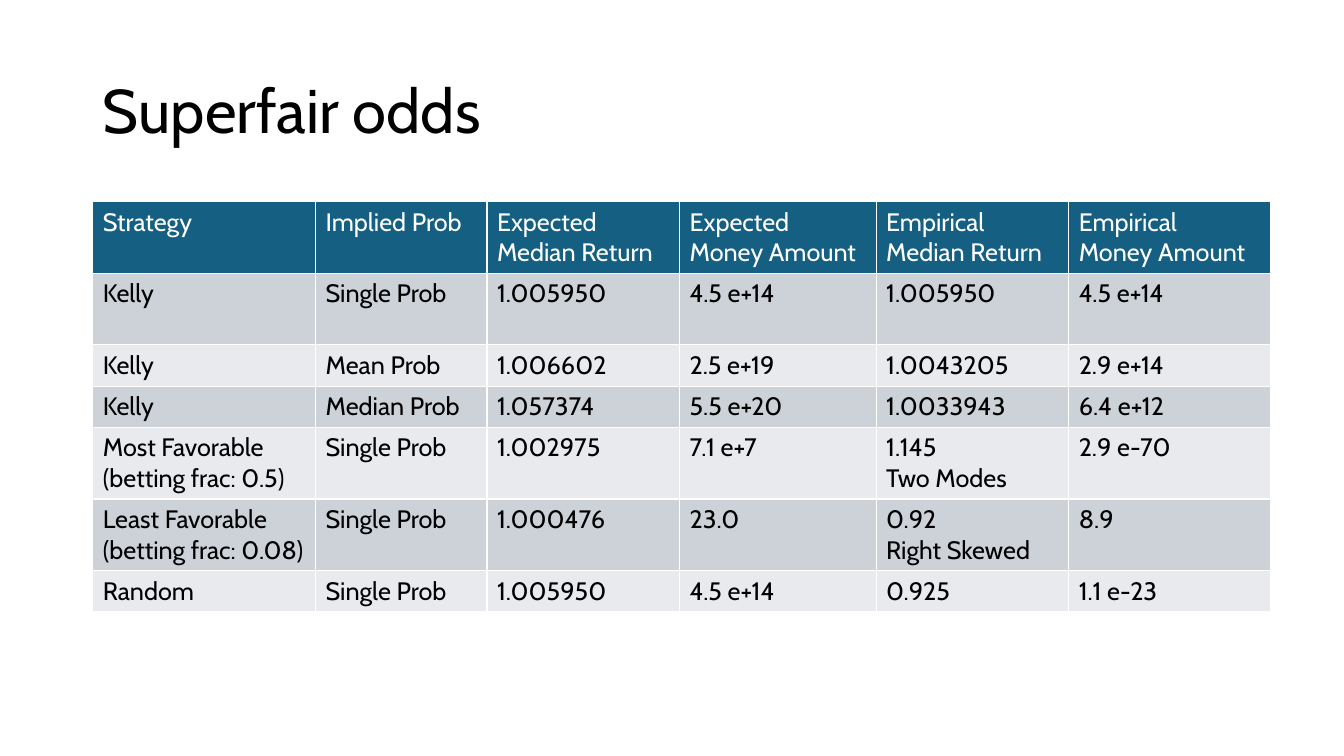
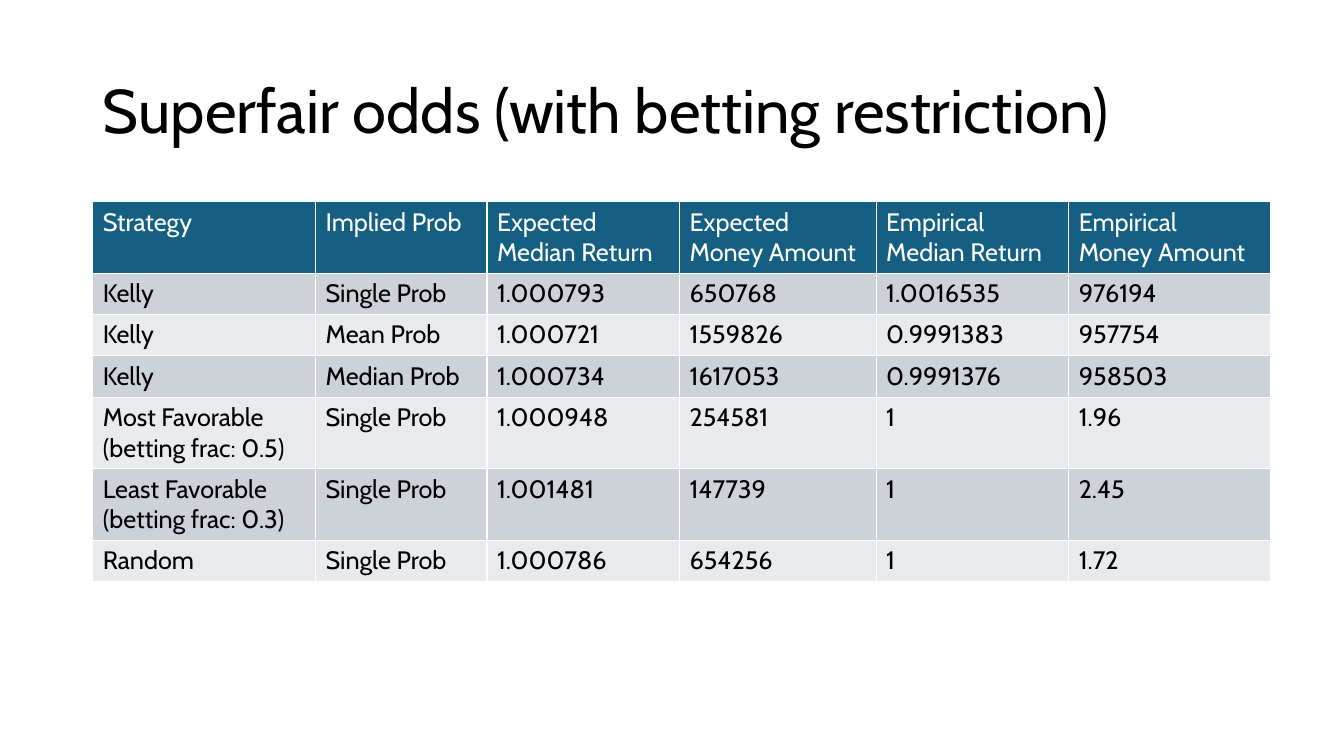
from dataclasses import dataclass

from pptx import Presentation
from pptx.dml.color import RGBColor
from pptx.enum.text import MSO_ANCHOR, PP_ALIGN
from pptx.util import Inches, Pt


@dataclass(frozen=True)
class Theme:
    font: str = "Cabin"
    title_size: Pt = Pt(44)
    table_size: Pt = Pt(18)
    text: RGBColor = RGBColor(0x00, 0x00, 0x00)
    header_text: RGBColor = RGBColor(0xFF, 0xFF, 0xFF)
    header_fill: RGBColor = RGBColor(0x15, 0x60, 0x82)
    band_fills: tuple = (RGBColor(0xE8, 0xEA, 0xED), RGBColor(0xCC, 0xD2, 0xD8))


THEME = Theme()

TITLE_ONLY = 5
COLUMN_WIDTHS = [2.21, 1.7, 1.91, 1.95, 1.91, 2]
ONE_LINE, TWO_LINES = 0.41, 0.71

HEADER = [
    "Strategy", "Implied Prob",
    "Expected\nMedian Return", "Expected\nMoney Amount",
    "Empirical\nMedian Return", "Empirical\nMoney Amount",
]

# Each slide: title, indexes of rows kept tall although their text is one line, table rows
SLIDES = [
    ("Superfair odds", {1}, [
        ["Kelly", "Single Prob", "1.005950", "4.5 e+14", "1.005950", "4.5 e+14"],
        ["Kelly", "Mean Prob", "1.006602", "2.5 e+19", "1.0043205", "2.9 e+14"],
        ["Kelly", "Median Prob", "1.057374", "5.5 e+20", "1.0033943", "6.4 e+12"],
        ["Most Favorable\n(betting frac: 0.5)", "Single Prob", "1.002975", "7.1 e+7",
         "1.145\nTwo Modes", "2.9 e-70"],
        ["Least Favorable\n(betting frac: 0.08)", "Single Prob", "1.000476", "23.0",
         "0.92\nRight Skewed", "8.9"],
        ["Random", "Single Prob", "1.005950", "4.5 e+14", "0.925", "1.1 e-23"],
    ]),
    ("Superfair odds (with betting restriction)", set(), [
        ["Kelly", "Single Prob", "1.000793", "650768", "1.0016535", "976194"],
        ["Kelly", "Mean Prob", "1.000721", "1559826", "0.9991383", "957754"],
        ["Kelly", "Median Prob", "1.000734", "1617053", "0.9991376", "958503"],
        ["Most Favorable\n(betting frac: 0.5)", "Single Prob", "1.000948", "254581", "1", "1.96"],
        ["Least Favorable\n(betting frac: 0.3)", "Single Prob", "1.001481", "147739", "1", "2.45"],
        ["Random", "Single Prob", "1.000786", "654256", "1", "1.72"],
    ]),
]


def style_paragraph(paragraph, size, color):
    paragraph.font.name = THEME.font
    paragraph.font.size = size
    paragraph.font.bold = False
    paragraph.font.color.rgb = color


presentation = Presentation()
presentation.slide_width = Inches(13.33)
presentation.slide_height = Inches(7.5)

for title_text, tall_rows, body_rows in SLIDES:
    slide = presentation.slides.add_slide(presentation.slide_layouts[TITLE_ONLY])

    title = slide.shapes.title
    title.left, title.top = Inches(0.92), Inches(0.4)
    title.width, title.height = Inches(11.5), Inches(1.45)
    title.text_frame.text = title_text
    title.text_frame.vertical_anchor = MSO_ANCHOR.MIDDLE
    title_paragraph = title.text_frame.paragraphs[0]
    title_paragraph.alignment = PP_ALIGN.LEFT
    title_paragraph.line_spacing = 0.9
    style_paragraph(title_paragraph, THEME.title_size, THEME.text)

    rows = [HEADER] + body_rows
    heights = [
        TWO_LINES if index in tall_rows or any("\n" in text for text in row) else ONE_LINE
        for index, row in enumerate(rows)
    ]
    table = slide.shapes.add_table(
        len(rows), len(HEADER), Inches(0.92), Inches(2),
        Inches(sum(COLUMN_WIDTHS)), Inches(sum(heights)),
    ).table
    for column, width in zip(table.columns, COLUMN_WIDTHS):
        column.width = Inches(width)

    for row_index, (row, height) in enumerate(zip(rows, heights)):
        table.rows[row_index].height = Inches(height)
        is_header = row_index == 0
        fill_color = THEME.header_fill if is_header else THEME.band_fills[row_index % 2]
        text_color = THEME.header_text if is_header else THEME.text
        for column_index, text in enumerate(row):
            cell = table.cell(row_index, column_index)
            cell.text = text
            cell.fill.solid()
            cell.fill.fore_color.rgb = fill_color
            for paragraph in cell.text_frame.paragraphs:
                style_paragraph(paragraph, THEME.table_size, text_color)

presentation.save("out.pptx")
